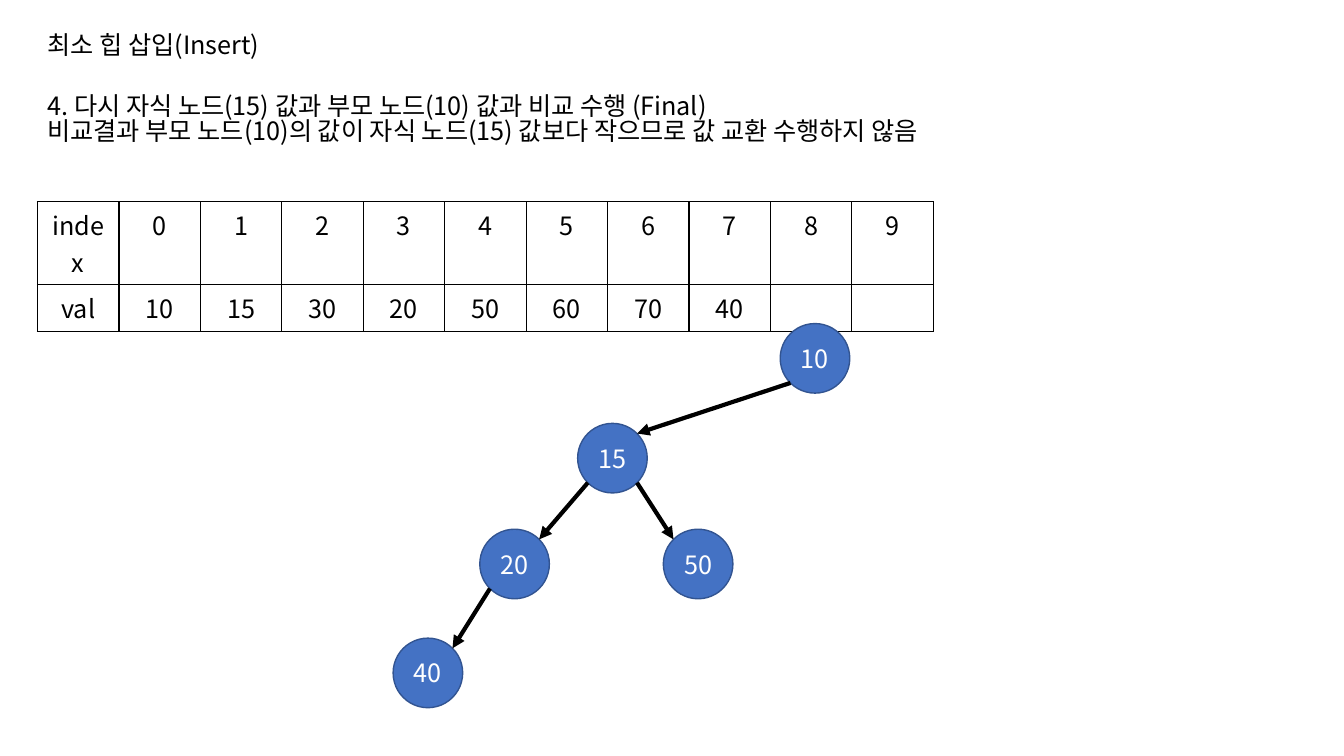
from lxml.etree import SubElement
from pptx import Presentation
from pptx.dml.color import RGBColor
from pptx.enum.shapes import MSO_CONNECTOR, MSO_SHAPE
from pptx.enum.text import MSO_ANCHOR, MSO_AUTO_SIZE, PP_ALIGN
from pptx.oxml import parse_xml
from pptx.oxml.ns import nsdecls, qn
from pptx.util import Pt

BLACK = RGBColor(0x00, 0x00, 0x00)
WHITE = RGBColor(0xFF, 0xFF, 0xFF)
BLUE = RGBColor(0x44, 0x72, 0xC4)
DARK_BLUE = RGBColor(0x32, 0x54, 0x91)

NODE_SIZE = 49.7
NODES = {
    "10": (557.3, 231.1),
    "15": (412.6, 302.4),
    "20": (342.7, 378),
    "50": (473.8, 378),
    "40": (280.8, 455.8),
}
EDGES = [("10", "15"), ("15", "20"), ("15", "50"), ("20", "40")]
HEAP = [10, 15, 30, 20, 50, 60, 70, 40]
SLOTS = 10


class HeapSlide:
    """Draws text, tables, nodes and arrows on one slide in a shared style."""

    def __init__(self, slide, font="Noto Sans CJK KR", size=18):
        self.s = slide
        self.font = font
        self.size = size

    def style(self, p, color, align=PP_ALIGN.LEFT):
        p.alignment = align
        for r in p.runs:
            r.font.size = Pt(self.size)
            r.font.name = self.font
            r.font.color.rgb = color
            SubElement(r._r.get_or_add_rPr(), qn("a:ea"), typeface=self.font)

    def text(self, x, y, w, h, text):
        tf = self.s.shapes.add_textbox(Pt(x), Pt(y), Pt(w), Pt(h)).text_frame
        tf.text = text
        tf.word_wrap = False
        tf.auto_size = MSO_AUTO_SIZE.SHAPE_TO_FIT_TEXT
        for p in tf.paragraphs:
            p.line_spacing = 0.82
            self.style(p, BLACK)

    def table(self, x, y, w, h, rows):
        frame = self.s.shapes.add_table(len(rows), len(rows[0]), Pt(x), Pt(y), Pt(w), Pt(h))
        table = frame.table
        table.first_row = table.horz_banding = False
        for i, row in enumerate(rows):
            for j, value in enumerate(row):
                cell = table.cell(i, j)
                cell.text = str(value)
                cell.fill.background()
                self.style(cell.text_frame.paragraphs[0], BLACK, PP_ALIGN.CENTER)
                self.borders(cell)

    def borders(self, cell):
        tc_pr = cell._tc.get_or_add_tcPr()
        for k, side in enumerate("LRTB"):
            tc_pr.insert(k, parse_xml(
                f'<a:ln{side} {nsdecls("a")} w="{Pt(1)}"><a:solidFill>'
                f'<a:srgbClr val="{BLACK}"/></a:solidFill></a:ln{side}>'))

    def node(self, x, y, text):
        sp = self.s.shapes.add_shape(
            MSO_SHAPE.FLOWCHART_CONNECTOR, Pt(x), Pt(y), Pt(NODE_SIZE), Pt(NODE_SIZE))
        sp.shadow.inherit = False
        sp.fill.solid()
        sp.fill.fore_color.rgb = BLUE
        sp.line.color.rgb = DARK_BLUE
        sp.line.width = Pt(1)
        tf = sp.text_frame
        tf.text = text
        tf.vertical_anchor = MSO_ANCHOR.MIDDLE
        self.style(tf.paragraphs[0], WHITE, PP_ALIGN.CENTER)

    def arrow(self, parent, child):
        near = NODE_SIZE * (1 - 0.5 ** 0.5) / 2
        far = NODE_SIZE - near
        start, end = (near, far) if child[0] < parent[0] else (far, near)
        line = self.s.shapes.add_connector(
            MSO_CONNECTOR.STRAIGHT,
            Pt(parent[0] + start), Pt(parent[1] + far),
            Pt(child[0] + end), Pt(child[1] + near))
        line.line.color.rgb = BLACK
        line.line.width = Pt(3)
        SubElement(line.line._get_or_add_ln(), qn("a:tailEnd"), type="triangle")
        SubElement(line._element.spPr, qn("a:effectLst"))


def main():
    prs = Presentation()
    prs.slide_width, prs.slide_height = Pt(960), Pt(540)
    s = HeapSlide(prs.slides.add_slide(prs.slide_layouts[6]))

    indexes = ["index", *range(SLOTS)]
    values = ["val", *HEAP, *[""] * (SLOTS - len(HEAP))]
    s.table(26.8, 144, 640, 58.4, [indexes, values])
    s.text(26.8, 20.9, 175.7, 29, "최소 힙 삽입(Insert)")
    s.text(26.8, 64.8, 710.6, 51,
           "4. 다시 자식 노드(15) 값과 부모 노드(10) 값과 비교 수행 (Final)\n"
           "비교결과 부모 노드(10)의 값이 자식 노드(15) 값보다 작으므로 값 교환 수행하지 않음")

    for value, (x, y) in NODES.items():
        s.node(x, y, value)
    for parent, child in EDGES:
        s.arrow(NODES[parent], NODES[child])
    prs.save("out.pptx")


if __name__ == "__main__":
    main()
